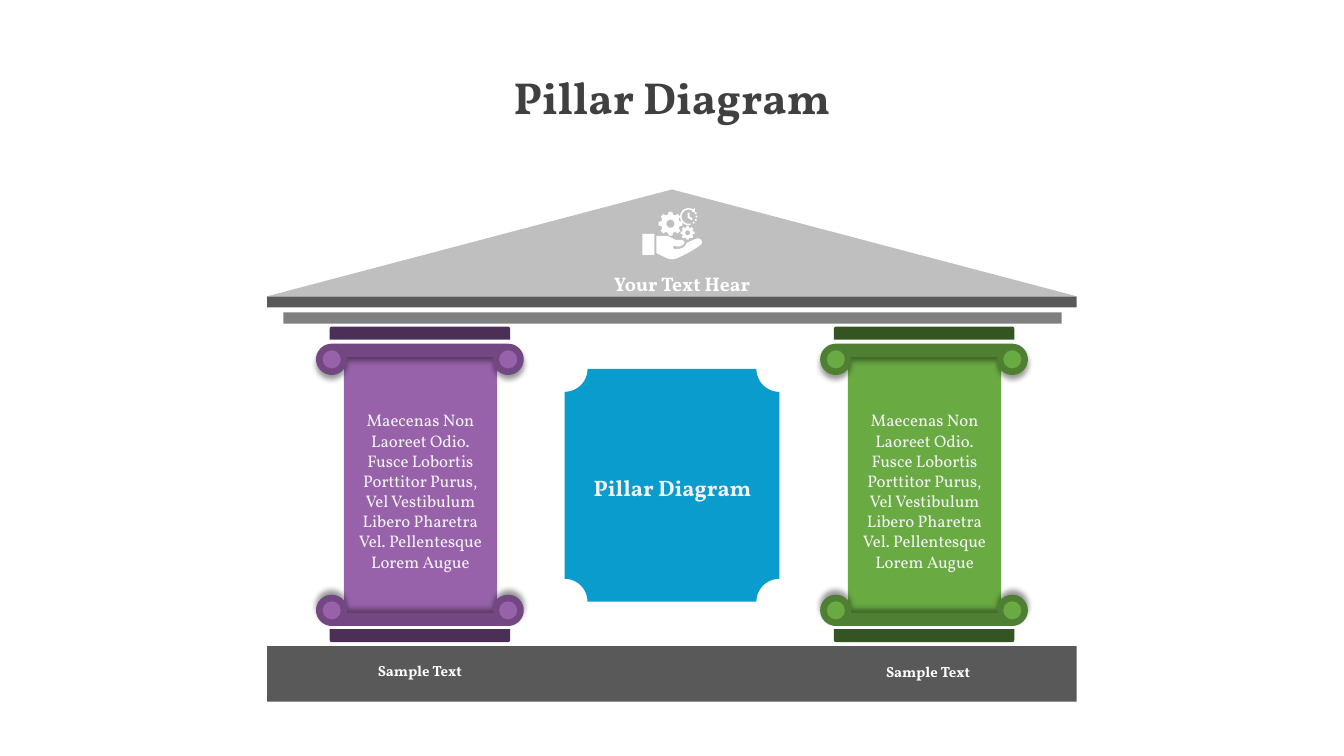
from math import cos, radians, sin

from lxml import etree
from pptx import Presentation
from pptx import util as u
from pptx.dml.color import RGBColor
from pptx.enum import shapes, text
from pptx.oxml.ns import qn

FONT = "Vollkorn"
WHITE = RGBColor(0xFF, 0xFF, 0xFF)
OFF_WHITE = RGBColor(0xF2, 0xF2, 0xF2)
CHARCOAL = RGBColor(0x40, 0x40, 0x40)
DARK_GREY = RGBColor(0x59, 0x59, 0x59)
MID_GREY = RGBColor(0x80, 0x80, 0x80)
LIGHT_GREY = RGBColor(0xBF, 0xBF, 0xBF)
BLUE = RGBColor(0x0A, 0x9C, 0xCD)
# Slab, capital and shaft shades
PURPLES = (RGBColor(0x4C, 0x2F, 0x57), RGBColor(0x73, 0x47, 0x82), RGBColor(0x97, 0x62, 0xAA))
GREENS = (RGBColor(0x34, 0x55, 0x22), RGBColor(0x4F, 0x7F, 0x32), RGBColor(0x69, 0xAA, 0x43))
PILLAR_TEXT = ("Maecenas Non Laoreet Odio. Fusce Lobortis Porttitor Purus, "
               "Vel Vestibulum Libero Pharetra Vel. Pellentesque Lorem Augue")
SHAPE = shapes.MSO_SHAPE


def paint(shape, color):
    shape.shadow.inherit = False
    shape.fill.solid()
    shape.fill.fore_color.rgb = color
    shape.line.fill.background()
    return shape


def add_block(slide, kind, left, top, width, height, color):
    box = [u.Inches(v) for v in (left, top, width, height)]
    return paint(slide.shapes.add_shape(kind, *box), color)


def format_text(frame, words, size, color, bold):
    frame.word_wrap = True
    frame.text = words
    paragraph = frame.paragraphs[0]
    paragraph.alignment = text.PP_ALIGN.CENTER
    paragraph.font.name = FONT
    paragraph.font.size = u.Pt(size)
    paragraph.font.bold = bold
    paragraph.font.color.rgb = color


def add_label(slide, left, top, width, height, words, size, color=WHITE, bold=True):
    box = [u.Inches(v) for v in (left, top, width, height)]
    format_text(slide.shapes.add_textbox(*box).text_frame, words, size, color, bold)


def add_outline(slide, left, top, contours, color):
    """Draw closed contours, given in inches from left and top, as one shape."""
    placed = [[(u.Inches(left + x), u.Inches(top + y)) for x, y in contour]
              for contour in contours]
    builder = slide.shapes.build_freeform(*placed[0][0])
    for contour in placed:
        builder.move_to(*contour[0])
        builder.add_line_segments(contour[1:], close=True)
    return paint(builder.convert_to_shape(), color)


def arc(x, y, radius, start, end, steps=30):
    angles = [radians(start + (end - start) * i / steps) for i in range(steps + 1)]
    return [(x + radius * cos(a), y + radius * sin(a)) for a in angles]


def bezier(*controls, steps=8):
    """Points of a cubic curve through four control points."""
    points = []
    for i in range(steps + 1):
        t = i / steps
        weights = ((1 - t) ** 3, 3 * t * (1 - t) ** 2, 3 * t * t * (1 - t), t ** 3)
        points.append(tuple(sum(w * c[axis] for w, c in zip(weights, controls))
                            for axis in (0, 1)))
    return points


def gear(x, y, radius, hole):
    rim = []
    for tooth in range(8):
        for turn, reach in ((-15, 0.78), (-9, 1), (9, 1), (15, 0.78)):
            a = radians(45 * tooth + turn)
            rim.append((x + reach * radius * cos(a), y + reach * radius * sin(a)))
    return [rim, arc(x, y, hole, 0, 360)]


def clock(x, y):
    ring = arc(x, y, 0.085, 75, 300) + arc(x, y, 0.07, 300, 75)
    arrow = [(x + 0.03, y - 0.05), (x + 0.06, y - 0.09), (x + 0.065, y - 0.04)]
    hands = [(x - 0.01, y - 0.04), (x + 0.01, y - 0.04), (x + 0.01, y),
             (x + 0.04, y + 0.02), (x + 0.03, y + 0.035), (x - 0.01, y + 0.01)]
    dots = [arc(*arc(x, y, 0.078, a, a, 1)[0], 0.01, 0, 360, 8) for a in (-25, 0, 25, 50)]
    return [ring, arrow, hands, *dots]


def add_service_icon(slide, left, top):
    """Open hand below two gears and a clock."""
    cuff = [(0, 0.26), (0.12, 0.26), (0.12, 0.47), (0, 0.47)]
    hand = [(0.14, 0.28), (0.22, 0.28),
            *bezier((0.22, 0.28), (0.26, 0.28), (0.29, 0.3), (0.33, 0.32)),
            *bezier((0.39, 0.32), (0.42, 0.33), (0.43, 0.35), (0.4, 0.37)),
            *bezier((0.4, 0.37), (0.38, 0.39), (0.35, 0.39), (0.32, 0.38)),
            *bezier((0.32, 0.38), (0.3, 0.38), (0.3, 0.41), (0.32, 0.41)),
            *bezier((0.35, 0.41), (0.38, 0.41), (0.41, 0.4), (0.43, 0.37)),
            (0.44, 0.35),
            *bezier((0.53, 0.31), (0.58, 0.29), (0.61, 0.34), (0.58, 0.37)),
            *bezier((0.58, 0.37), (0.51, 0.42), (0.44, 0.46), (0.37, 0.49)),
            *bezier((0.37, 0.49), (0.32, 0.52), (0.27, 0.52), (0.22, 0.49)),
            (0.14, 0.45)]
    contours = [hand, cuff, *gear(0.28, 0.16, 0.12, 0.04),
                *gear(0.45, 0.25, 0.07, 0.025), *clock(0.46, 0.09)]
    add_outline(slide, left, top, contours, WHITE)


def add_capital(slide, left, top, color, eye_color, upside_down=False):
    """Scroll-ended capital, 2.07 by 0.31 inches, with a soft shadow."""
    radius, left_eye, right_eye = 0.155, 0.16, 1.91
    outline = (arc(right_eye, radius, radius, -90, 180) + [(1.77, 0.13), (0.31, 0.13)]
               + arc(left_eye, radius, radius, 0, 270))
    if upside_down:
        outline = [(x, 2 * radius - y) for x, y in outline]
    capital = add_outline(slide, left, top, [outline], color)
    effects = capital.element.spPr.find(qn("a:effectLst"))
    shadow = etree.SubElement(effects, qn("a:outerShdw"), blurRad=str(u.Pt(4)),
                              dist=str(u.Pt(3)), dir=str((270 if upside_down else 90) * 60000),
                              algn="ctr", rotWithShape="0")
    black = etree.SubElement(shadow, qn("a:srgbClr"), val="000000")
    etree.SubElement(black, qn("a:alpha"), val="40000")
    for eye in (left_eye, right_eye):
        add_block(slide, SHAPE.OVAL, left + eye - 0.09, top + radius - 0.09, 0.18, 0.18, eye_color)


def add_pillar(slide, left, top, shades):
    slab_color, capital_color, shaft_color = shades
    for slab_top, turn in ((top, 0), (top + 3, 180)):
        slab = add_block(slide, SHAPE.ROUND_2_SAME_RECTANGLE, left + 0.14, slab_top,
                         1.79, 0.13, slab_color)
        slab.rotation = turn
    add_block(slide, SHAPE.RECTANGLE, left + 0.28, top + 0.3, 1.52, 2.54, shaft_color)
    add_capital(slide, left, top + 0.17, capital_color, shaft_color)
    add_capital(slide, left, top + 2.66, capital_color, shaft_color, upside_down=True)
    add_label(slide, left + 0.28, top + 0.78, 1.52, 1.72, PILLAR_TEXT, 12, OFF_WHITE, False)


def add_roof(slide, left, top, width):
    add_block(slide, SHAPE.RECTANGLE, left, top + 1.06, width, 0.11, DARK_GREY)
    add_block(slide, SHAPE.ISOSCELES_TRIANGLE, left, top, width, 1.06, LIGHT_GREY)
    add_block(slide, SHAPE.RECTANGLE, left + 0.16, top + 1.22, width - 0.31, 0.11, MID_GREY)
    add_service_icon(slide, left + 3.72, top + 0.18)
    add_label(slide, left + 2.75, top + 0.77, 2.73, 0.34, "Your Text Hear", 14)


def add_base(slide, left, top, width):
    add_block(slide, SHAPE.RECTANGLE, left, top, width, 0.55, DARK_GREY)
    add_label(slide, left + 0.28, top + 0.11, 2.47, 0.28, "Sample Text", 10.5)
    add_label(slide, left + 5.61, top + 0.12, 1.89, 0.28, "Sample Text", 10.5)


def add_plaque(slide, left, top):
    plaque = add_block(slide, SHAPE.PLAQUE, left, top, 2.13, 2.31, BLUE)
    plaque.adjustments[0] = 0.107
    add_label(slide, left + 0.09, top + 0.99, 1.96, 0.37, "Pillar Diagram", 16, OFF_WHITE)


def set_title(slide, width):
    title = slide.shapes.title
    title.left, title.top = 0, u.Inches(0.64)
    title.width, title.height = width, u.Inches(0.64)
    title.text_frame.vertical_anchor = text.MSO_ANCHOR.MIDDLE
    format_text(title.text_frame, "Pillar Diagram", 32, CHARCOAL, True)


def main():
    deck = Presentation()
    deck.slide_width, deck.slide_height = u.Inches(13.33), u.Inches(7.5)
    slide = deck.slides.add_slide(deck.slide_layouts[5])
    set_title(slide, deck.slide_width)
    temple_left, temple_width = 2.65, 8.03
    add_roof(slide, temple_left, 1.88, temple_width)
    add_base(slide, temple_left, 6.41, temple_width)
    add_plaque(slide, 5.6, 3.66)
    for left, shades in ((3.13, PURPLES), (8.13, GREENS)):
        add_pillar(slide, left, 3.24, shades)
    deck.save("out.pptx")


if __name__ == "__main__":
    main()
